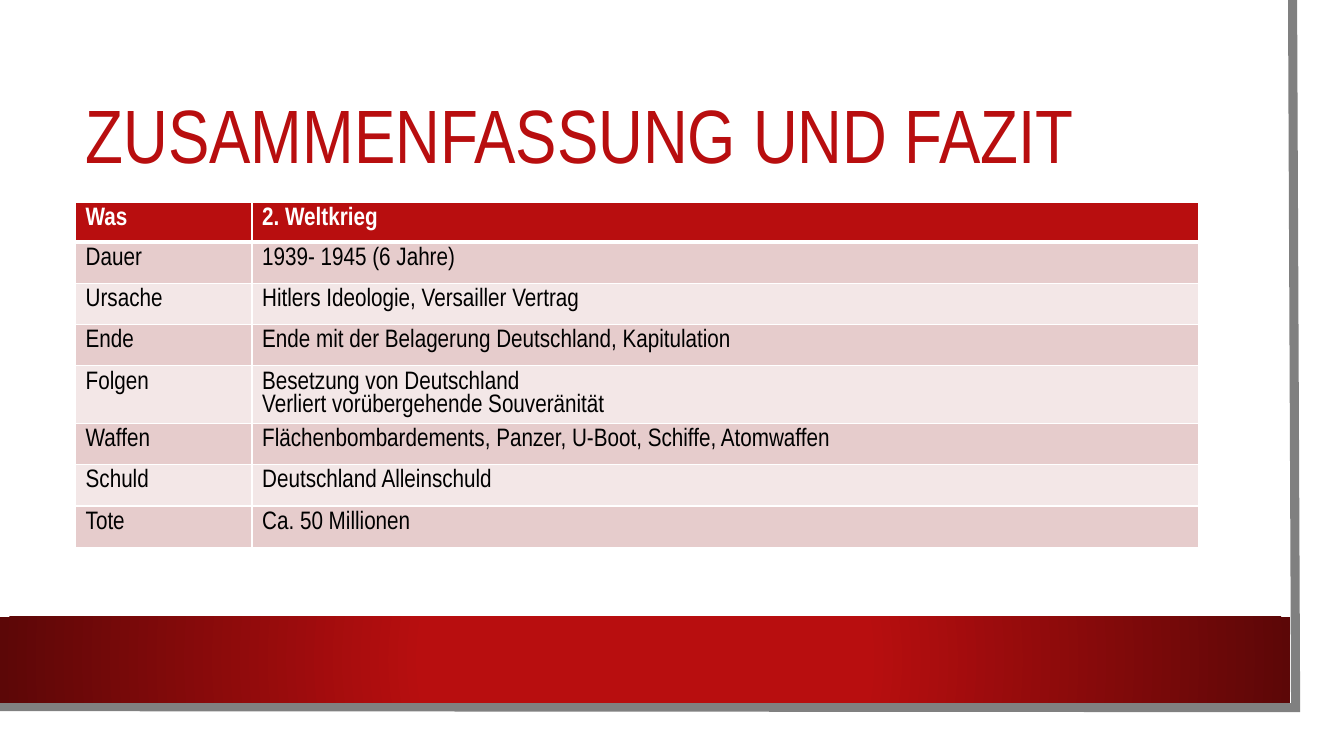
from dataclasses import dataclass

from lxml import etree
from pptx import Presentation
from pptx.dml.color import RGBColor
from pptx.enum.shapes import MSO_SHAPE
from pptx.enum.text import MSO_ANCHOR, PP_ALIGN
from pptx.oxml import parse_xml
from pptx.oxml.ns import nsdecls, qn
from pptx.util import Inches, Pt

RECTANGLE = MSO_SHAPE.RECTANGLE
MIDDLE = MSO_ANCHOR.MIDDLE
LEFT = PP_ALIGN.LEFT
TITLE_ONLY = 5


@dataclass(frozen=True)
class Theme:
    font: str = "Arial Narrow"
    red: str = "B80E0F"
    dark_red: str = "5C0707"
    grey: str = "808080"
    white: str = "FFFFFF"
    black: str = "000000"
    bands: tuple = ("E6CCCC", "F3E7E7")
    title_size: int = 54
    table_size: int = 18
    frame_width: float = 6.5
    border: int = 1
    header_border: int = 3


THEME = Theme()
TITLE = "ZUSAMMENFASSUNG UND FAZIT"
COLUMN_WIDTHS = (1.75, 9.39)
HEADER_HEIGHT, ROW_HEIGHT = 0.39, 0.41
ROWS = (
    ("Was", "2. Weltkrieg"),
    ("Dauer", "1939- 1945 (6 Jahre)"),
    ("Ursache", "Hitlers Ideologie, Versailler Vertrag"),
    ("Ende", "Ende mit der Belagerung Deutschland, Kapitulation"),
    ("Folgen", "Besetzung von Deutschland\nVerliert vorübergehende Souveränität"),
    ("Waffen", "Flächenbombardements, Panzer, U-Boot, Schiffe, Atomwaffen"),
    ("Schuld", "Deutschland Alleinschuld"),
    ("Tote", "Ca. 50 Millionen"),
)


def set_values(target, values):
    for name, value in values.items():
        setattr(target, name, value)


def format_text(frame, size, color, bold=False, **paragraph_values):
    for para in frame.paragraphs:
        set_values(para, {"alignment": LEFT, **paragraph_values})
        for span in para.runs:
            set_values(span.font, {"name": THEME.font, "size": Pt(size), "bold": bold})
            span.font.color.rgb = RGBColor.from_string(color)


def add_frame(page):
    """Draw the grey line along the right and lower edges of the sheet."""
    builder = page.shapes.build_freeform(Inches(12.82), 0)
    corners = [(Inches(12.85), Inches(7.02)), (Inches(-0.03), Inches(7.01))]
    builder.add_line_segments(corners, close=False)
    frame = builder.convert_to_shape()
    frame.shadow.inherit = False
    frame.fill.background()
    frame.line.width = Pt(THEME.frame_width)
    frame.line.color.rgb = RGBColor.from_string(THEME.grey)
    etree.SubElement(frame.line._get_or_add_ln(), qn("a:miter"), lim="800000")


def add_band(page):
    """Draw the red band, which darkens from its centre outwards."""
    band = page.shapes.add_shape(RECTANGLE, 0, Inches(6.12), Inches(12.8), Inches(0.85))
    band.shadow.inherit = False
    band.line.fill.background()
    gradient = parse_xml(
        f'<a:gradFill {nsdecls("a")} rotWithShape="1"><a:gsLst>'
        f'<a:gs pos="34000"><a:srgbClr val="{THEME.red}"/></a:gs>'
        f'<a:gs pos="100000"><a:srgbClr val="{THEME.dark_red}"/></a:gs></a:gsLst>'
        '<a:path path="circle"><a:fillToRect l="50000" t="50000" r="50000" b="50000"/>'
        "</a:path></a:gradFill>"
    )
    band._element.spPr.find(qn("a:prstGeom")).addnext(gradient)


def set_title(page):
    title = page.shapes.title
    set_values(title, {"left": Inches(0.75), "top": Inches(0.75),
                       "width": Inches(11.37), "height": Inches(1.26)})
    frame = title.text_frame
    frame.text = TITLE
    set_values(frame, {"vertical_anchor": MIDDLE, "word_wrap": True})
    format_text(frame, THEME.title_size, THEME.red, line_spacing=0.9)


def set_borders(cell, top, bottom):
    properties = cell._tc.get_or_add_tcPr()
    widths = {"L": THEME.border, "R": THEME.border, "T": top, "B": bottom}
    for index, (side, width) in enumerate(widths.items()):
        properties.insert(index, parse_xml(
            f'<a:ln{side} {nsdecls("a")} w="{Pt(width)}"><a:solidFill>'
            f'<a:srgbClr val="{THEME.white}"/></a:solidFill></a:ln{side}>'
        ))


def fill_cell(cell, text, row):
    header = row == 0
    cell.text = text
    cell.fill.solid()
    color = THEME.red if header else THEME.bands[(row - 1) % 2]
    cell.fill.fore_color.rgb = RGBColor.from_string(color)
    format_text(cell.text_frame, THEME.table_size,
                THEME.white if header else THEME.black, bold=header)
    set_borders(cell,
                top=THEME.header_border if row == 1 else THEME.border,
                bottom=THEME.header_border if header else THEME.border)


def add_summary_table(page):
    heights = [HEADER_HEIGHT] + [ROW_HEIGHT] * (len(ROWS) - 1)
    table = page.shapes.add_table(
        len(ROWS), len(COLUMN_WIDTHS), Inches(0.75), Inches(2.01),
        Inches(sum(COLUMN_WIDTHS)), Inches(sum(heights))).table
    for column, width in zip(table.columns, COLUMN_WIDTHS):
        column.width = Inches(width)
    for row, (texts, height) in enumerate(zip(ROWS, heights)):
        table.rows[row].height = Inches(height)
        for column, text in enumerate(texts):
            fill_cell(table.cell(row, column), text, row)


def main():
    deck = Presentation()
    set_values(deck, {"slide_width": Inches(13.33), "slide_height": Inches(7.5)})
    page = deck.slides.add_slide(deck.slide_layouts[TITLE_ONLY])
    add_frame(page)
    add_band(page)
    set_title(page)
    add_summary_table(page)
    deck.save("out.pptx")


if __name__ == "__main__":
    main()
